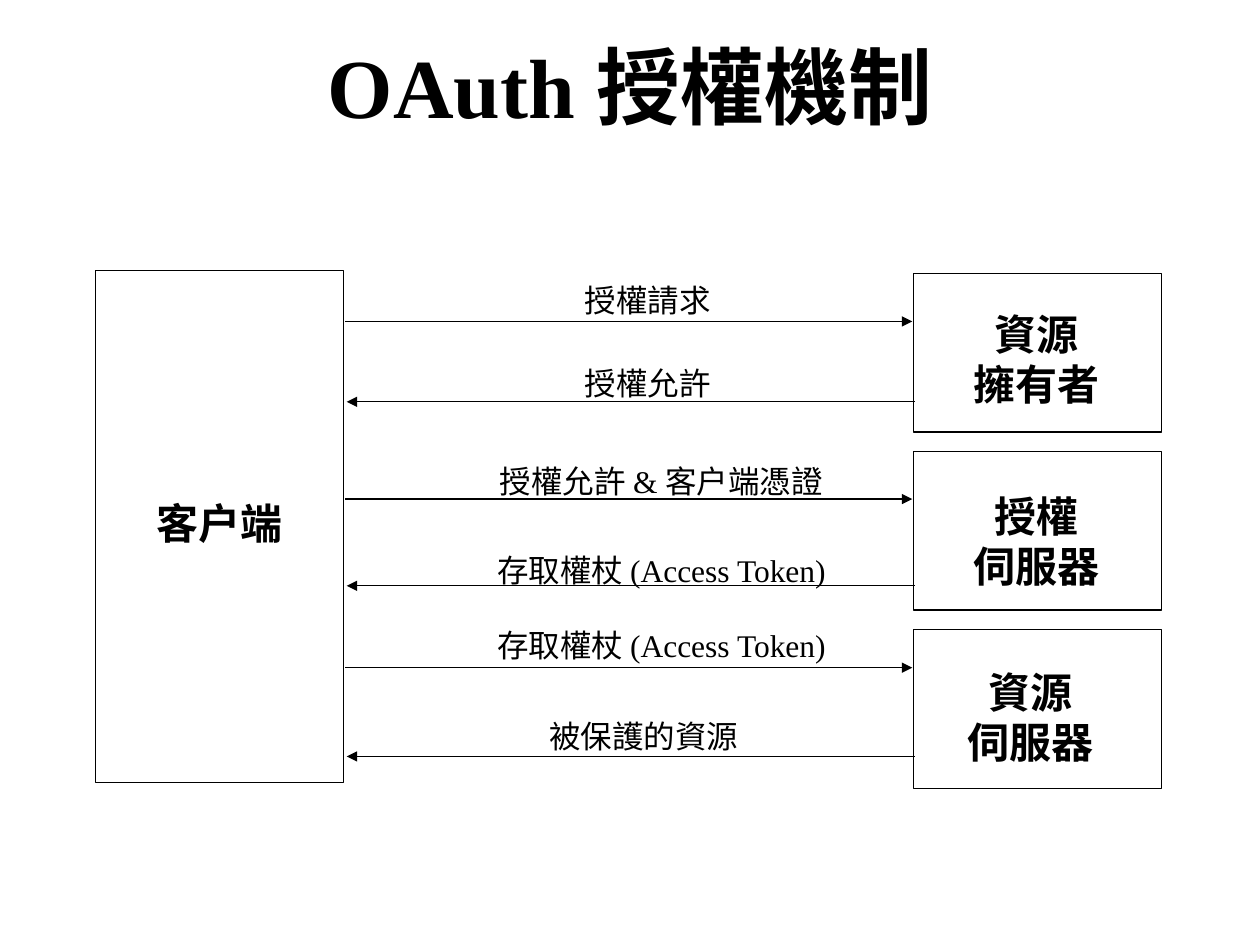
from lxml.etree import SubElement
from pptx import Presentation
from pptx.dml.color import RGBColor
from pptx.enum.shapes import MSO_CONNECTOR, MSO_SHAPE
from pptx.enum.text import MSO_ANCHOR, PP_ALIGN
from pptx.oxml.ns import qn
from pptx.util import Cm, Pt

BLACK = RGBColor(0x00, 0x00, 0x00)
WHITE = RGBColor(0xFF, 0xFF, 0xFF)
CHINESE = "Noto Sans CJK TC"
LATIN = "Times New Roman"


class Diagram:
    """Draws the parties and messages of a flow on one slide."""

    def __init__(self, page):
        self.page = page
        self.line_width = Pt(0.75)

    def frame(self, left, top, width, height):
        box = self.page.shapes.add_shape(
            MSO_SHAPE.RECTANGLE, Cm(left), Cm(top), Cm(width), Cm(height))
        box.shadow.inherit = False
        box.fill.solid()
        box.fill.fore_color.rgb = WHITE
        box.line.color.rgb = BLACK
        box.line.width = self.line_width

    def text(self, lines, left, top, width, height, size, font=CHINESE,
             bold=False, align=PP_ALIGN.CENTER):
        box = self.page.shapes.add_textbox(Cm(left), Cm(top), Cm(width), Cm(height))
        frame = box.text_frame
        frame.word_wrap = True
        frame.margin_top = Cm(0.2)
        frame.text = lines
        for para in frame.paragraphs:
            para.alignment = align
            para.line_spacing = Pt(size * 1.2)
            para.font.size = Pt(size)
            para.font.bold = bold
            para.font.name = font
            para.font.color.rgb = BLACK
            properties = para.font._element
            SubElement(properties, qn("a:ea")).set("typeface", CHINESE)
        return box

    def title(self, words):
        box = self.text(words, 1.27, 0.13, 22.86, 3.18, 48, LATIN, True)
        frame = box.text_frame
        frame.margin_top = frame.margin_bottom
        frame.vertical_anchor = MSO_ANCHOR.MIDDLE
        frame.paragraphs[0].line_spacing = 1.0

    def label(self, lines, left, top, width, height, align=PP_ALIGN.CENTER):
        box = self.text(lines, left, top, width, height, 24, bold=True, align=align)
        box.fill.solid()
        box.fill.fore_color.rgb = WHITE

    def arrow(self, start, end, height, arrowhead):
        line = self.page.shapes.add_connector(
            MSO_CONNECTOR.STRAIGHT, Cm(start), Cm(height), Cm(end), Cm(height))
        line.line.color.rgb = BLACK
        line.line.width = self.line_width
        SubElement(line.line._get_or_add_ln(), qn(arrowhead)).set("type", "triangle")
        SubElement(line._element.spPr, qn("a:effectLst"))

    def request(self, height):
        self.arrow(6.96, 18.39, height, "a:tailEnd")

    def response(self, height):
        self.arrow(6.99, 18.44, height, "a:headEnd")


def main():
    deck = Presentation()
    deck.slide_width, deck.slide_height = Cm(25.4), Cm(19.05)
    diagram = Diagram(deck.slides.add_slide(deck.slide_layouts[6]))

    diagram.frame(1.93, 5.46, 5, 10.31)
    diagram.label("客戶端", 2.9, 9.83, 3.48, 1.78, PP_ALIGN.LEFT)

    servers = [
        ("資源\n擁有者", 18.72, 6.02, 4.34, 2.34),
        ("授權\n伺服器", 18.72, 9.68, 4.34, 2.34),
        ("資源\n伺服器", 18.8, 13.23, 3.94, 1.96),
    ]
    for row, server in enumerate(servers):
        diagram.frame(18.42, 5.51 + row * 3.59, 5, 3.2)
        diagram.label(*server)

    for sent, returned in [(6.48, 8.1), (10.06, 11.81), (13.46, 15.25)]:
        diagram.request(sent)
        diagram.response(returned)

    messages = [
        ("授權請求", 9.5, 5.46, 7.11, 1.17, CHINESE),
        ("授權允許", 9.5, 7.14, 7.11, 1.17, CHINESE),
        ("授權允許 & 客戶端憑證", 9.5, 9.12, 7.67, 2.08, LATIN),
        ("存取權杖 (Access Token)", 9.5, 10.9, 7.67, 2.08, LATIN),
        ("存取權杖 (Access Token)", 9.5, 12.42, 7.67, 2.08, LATIN),
        ("被保護的資源", 9.42, 14.25, 7.11, 1.55, CHINESE),
    ]
    for words, left, top, width, height, font in messages:
        diagram.text(words, left, top, width, height, 18, font)

    diagram.title("OAuth 授權機制")
    deck.save("out.pptx")


if __name__ == "__main__":
    main()
